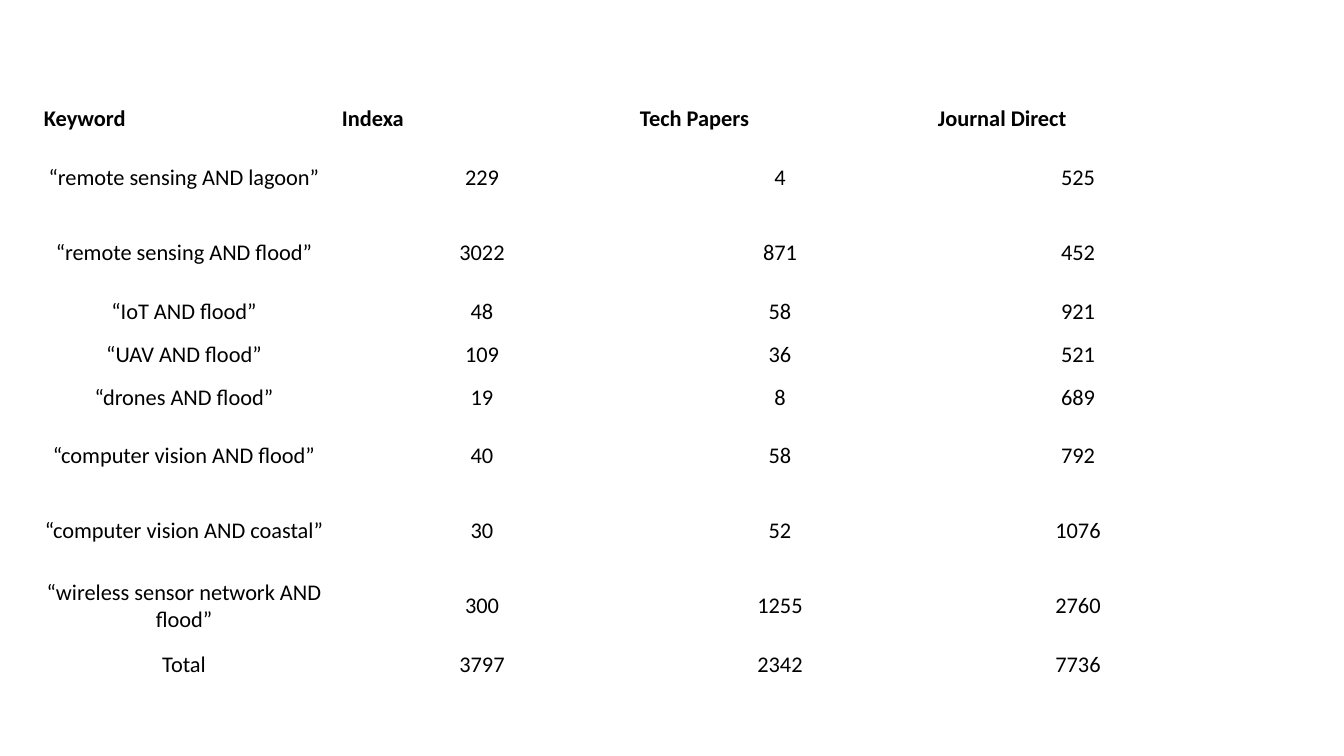
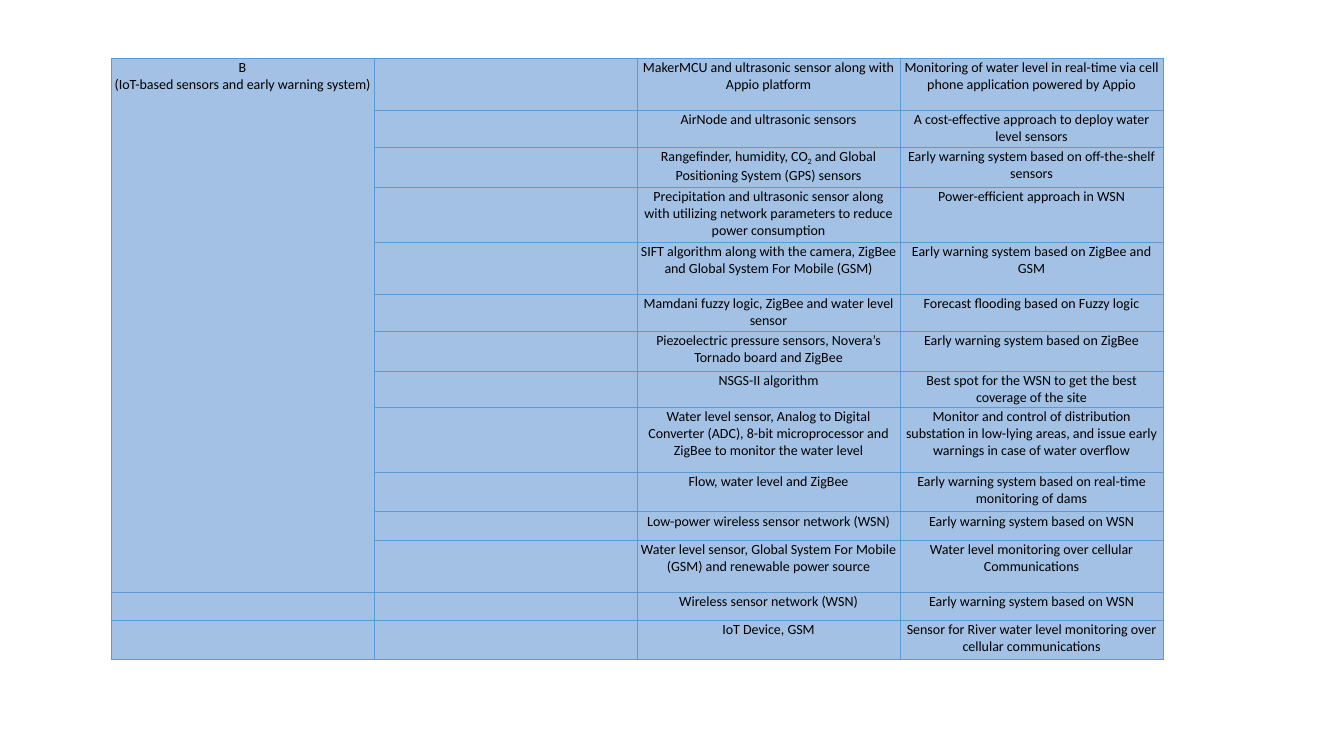
from dataclasses import dataclass

from lxml import etree
from pptx import Presentation
from pptx.dml.color import RGBColor
from pptx.enum.text import MSO_ANCHOR, PP_ALIGN
from pptx.oxml.ns import qn
from pptx.util import Emu, Pt

EMU_PER_PX = 914400 / 100.8
SLIDE_SIZE = (1344, 756)
BLANK_LAYOUT = 6
LEFT, CENTER = PP_ALIGN.LEFT, PP_ALIGN.CENTER
TOP, MIDDLE = MSO_ANCHOR.TOP, MSO_ANCHOR.MIDDLE
ALL_EDGES = ("lnL", "lnR", "lnT", "lnB")
ROW_EDGES = ("lnT", "lnB")
SUBSCRIPT_MARK = "~"


@dataclass(frozen=True)
class Theme:
    font: str = "Calibri"
    text: str = "000000"
    rule: str = "FFFFFF"
    grid: str = "5B9BD5"
    panel: str = "A3C1E5"
    count_size: int = 16
    sensor_size: int = 10
    rule_width: float = 0.75
    grid_width: float = 0.5


def px(length):
    return Emu(round(length * EMU_PER_PX))


class Deck:
    """Holds the theme, the presentation and the current slide."""

    def __init__(self, theme):
        self.theme = theme
        self.presentation = Presentation()
        self.presentation.slide_width, self.presentation.slide_height = map(px, SLIDE_SIZE)
        self.slide = None

    def new_slide(self):
        layout = self.presentation.slide_layouts[BLANK_LAYOUT]
        self.slide = self.presentation.slides.add_slide(layout)

    def table(self, left, top, column_width, column_count, row_heights, header=False):
        frame = self.slide.shapes.add_table(
            len(row_heights), column_count, px(left), px(top),
            px(column_width * column_count), px(sum(row_heights)))
        table = frame.table
        table.first_row, table.horz_banding = header, False
        for column in table.columns:
            column.width = px(column_width)
        for row, height in zip(table.rows, row_heights):
            row.height = px(height)
        return table

    def cell(self, cell, text, size, inset, anchor=TOP, align=CENTER, bold=False, fill=None):
        side, end = inset
        cell.margin_left = cell.margin_right = px(side)
        cell.margin_top = cell.margin_bottom = px(end)
        cell.vertical_anchor = anchor
        if fill:
            cell.fill.solid()
            cell.fill.fore_color.rgb = RGBColor.from_string(fill)
        else:
            cell.fill.background()
        paragraph = cell.text_frame.paragraphs[0]
        paragraph.alignment = align
        if not text:
            # An empty cell keeps the small type size, so its row stays low
            mark = etree.SubElement(paragraph._p, qn("a:endParaRPr"))
            mark.set("sz", str(size * 100))
            return
        for line_index, line in enumerate(text.split("\n")):
            if line_index:
                paragraph.add_line_break()
            for part_index, part in enumerate(line.split(SUBSCRIPT_MARK)):
                self.run(paragraph, part, size, bold, subscript=part_index % 2 == 1)

    def run(self, paragraph, text, size, bold, subscript):
        run = paragraph.add_run()
        run.text = text
        run.font.name, run.font.size, run.font.bold = self.theme.font, Pt(size), bold
        run.font.color.rgb = RGBColor.from_string(self.theme.text)
        if subscript:
            run._r.get_or_add_rPr().set("baseline", "-25000")

    def borders(self, cell, edges, color, width):
        properties = cell._tc.get_or_add_tcPr()
        for position, edge in enumerate(edges):
            line = etree.Element(qn(f"a:{edge}"), w=str(Pt(width)))
            solid = etree.SubElement(line, qn("a:solidFill"))
            etree.SubElement(solid, qn("a:srgbClr"), val=color)
            properties.insert(position, line)


# Search results per database: height and cells of each row
SHORT, TALL = 43, 75
KEYWORD_COUNTS = [
    (SHORT, "Keyword", "Indexa", "Tech Papers", "Journal Direct"),
    (TALL, "“remote sensing AND lagoon”", "229", "4", "525"),
    (TALL, "“remote sensing AND flood”", "3022", "871", "452"),
    (SHORT, "“IoT AND flood”", "48", "58", "921"),
    (SHORT, "“UAV AND flood”", "109", "36", "521"),
    (SHORT, "“drones AND flood”", "19", "8", "689"),
    (TALL, "“computer vision AND flood”", "40", "58", "792"),
    (TALL, "“computer vision AND coastal”", "30", "52", "1076"),
    (TALL, "“wireless sensor network AND flood”", "300", "1255", "2760"),
    (SHORT, "Total", "3797", "2342", "7736"),
]

# Sensor studies: height, technology and outcome of each row
CATEGORY = "B\n(IoT-based sensors and early warning system)"
CATEGORY_ROWS = 12
SENSOR_STUDIES = [
    (52, "MakerMCU and ultrasonic sensor along with Appio platform",
     "Monitoring of water level in real-time via cell phone application powered by Appio"),
    (37, "AirNode and ultrasonic sensors",
     "A cost-effective approach to deploy water level sensors"),
    (40, "Rangefinder, humidity, CO~2~ and Global Positioning System (GPS) sensors",
     "Early warning system based on off-the-shelf sensors"),
    (55, "Precipitation and ultrasonic sensor along with utilizing network parameters "
         "to reduce power consumption",
     "Power-efficient approach in WSN"),
    (52, "SIFT algorithm along with the camera, ZigBee and Global System For Mobile (GSM)",
     "Early warning system based on ZigBee and GSM"),
    (37, "Mamdani fuzzy logic, ZigBee and water level sensor",
     "Forecast flooding based on Fuzzy logic"),
    (40, "Piezoelectric pressure sensors, Novera’s Tornado board and ZigBee",
     "Early warning system based on ZigBee"),
    (36, "NSGS-II algorithm",
     "Best spot for the WSN to get the best coverage of the site"),
    (65, "Water level sensor, Analog to Digital Converter (ADC), 8-bit microprocessor "
         "and ZigBee to monitor the water level",
     "Monitor and control of distribution substation in low-lying areas, "
     "and issue early warnings in case of water overflow"),
    (40, "Flow, water level and ZigBee",
     "Early warning system based on real-time monitoring of dams"),
    (29, "Low-power wireless sensor network (WSN)",
     "Early warning system based on WSN"),
    (52, "Water level sensor, Global System For Mobile (GSM) and renewable power source",
     "Water level monitoring over cellular Communications"),
    (28, "Wireless sensor network (WSN)",
     "Early warning system based on WSN"),
    (39, "IoT Device, GSM",
     "Sensor for River water level monitoring over cellular communications"),
]


def keyword_slide(deck):
    theme = deck.theme
    deck.new_slide()
    heights = [row[0] for row in KEYWORD_COUNTS]
    table = deck.table(35, 97, 298, 4, heights, header=True)
    total_row = len(KEYWORD_COUNTS) - 1
    for row_index, (_, *texts) in enumerate(KEYWORD_COUNTS):
        heading = row_index == 0
        for column_index, text in enumerate(texts):
            cell = table.cell(row_index, column_index)
            deck.cell(cell, text, theme.count_size, (9, 4), anchor=MIDDLE,
                      align=LEFT if heading else CENTER, bold=heading)
            if row_index in (0, total_row):
                deck.borders(cell, ROW_EDGES, theme.rule, theme.rule_width)


def sensor_slide(deck):
    theme = deck.theme
    deck.new_slide()
    heights = [row[0] for row in SENSOR_STUDIES]
    table = deck.table(111, 58, 263, 4, heights)
    for row_index, (_, technology, outcome) in enumerate(SENSOR_STUDIES):
        category = CATEGORY if row_index == 0 else ""
        for column_index, text in enumerate((category, "", technology, outcome)):
            cell = table.cell(row_index, column_index)
            deck.cell(cell, text, theme.sensor_size, (3, 1), fill=theme.panel)
            deck.borders(cell, ALL_EDGES, theme.grid, theme.grid_width)
    table.cell(0, 0).merge(table.cell(CATEGORY_ROWS - 1, 0))


def main():
    deck = Deck(Theme())
    keyword_slide(deck)
    sensor_slide(deck)
    deck.presentation.save("out.pptx")


if __name__ == "__main__":
    main()
